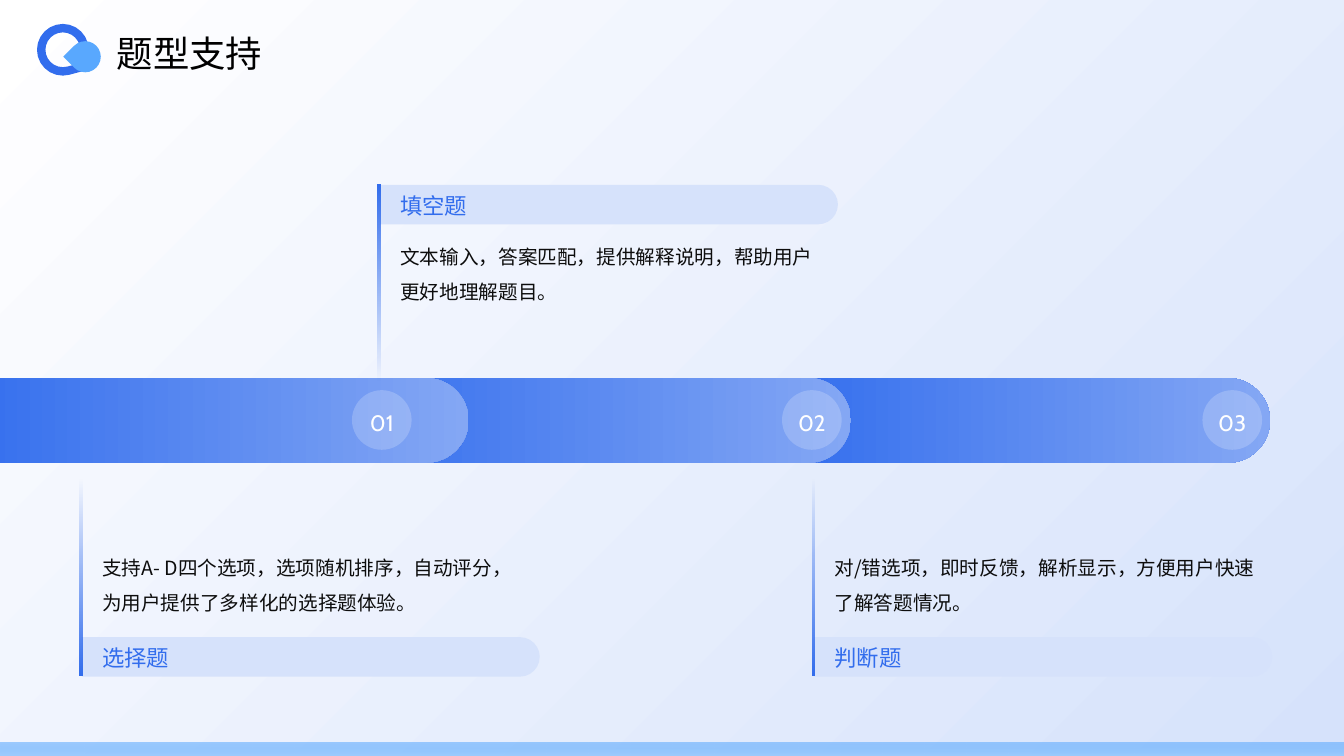
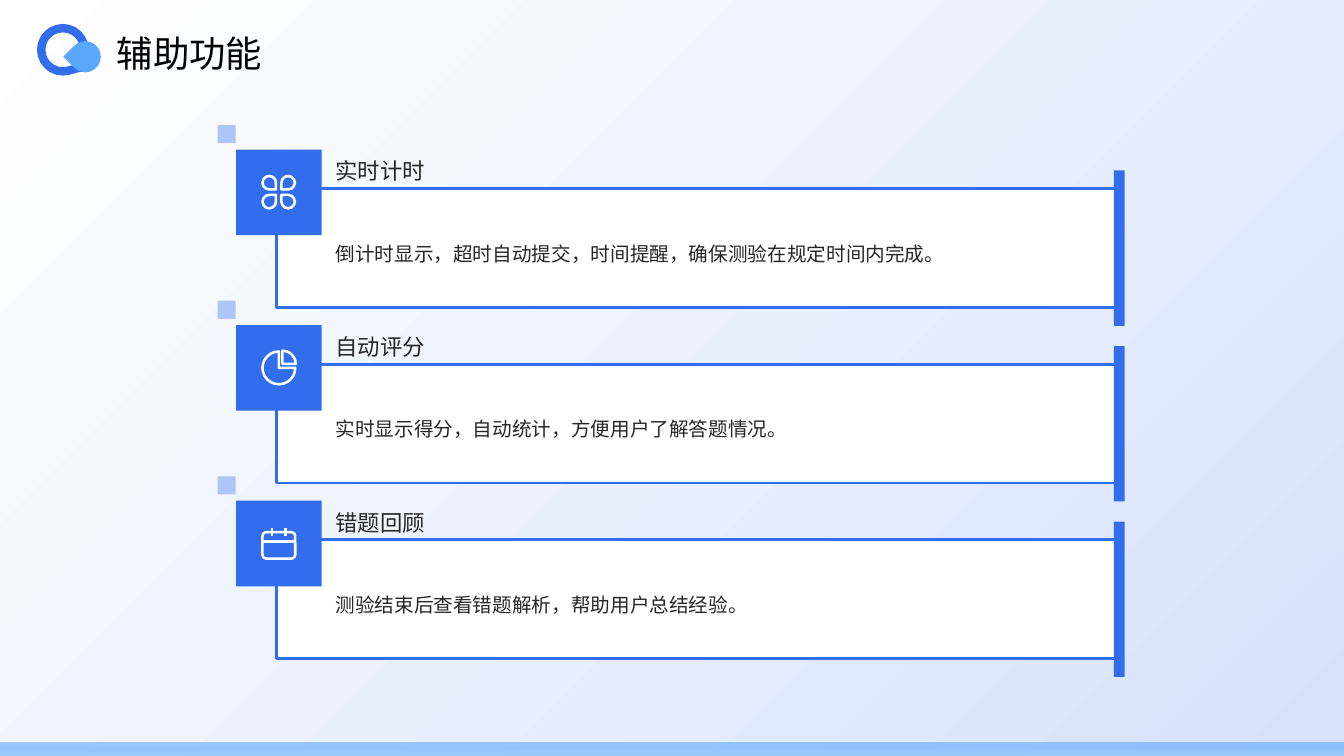
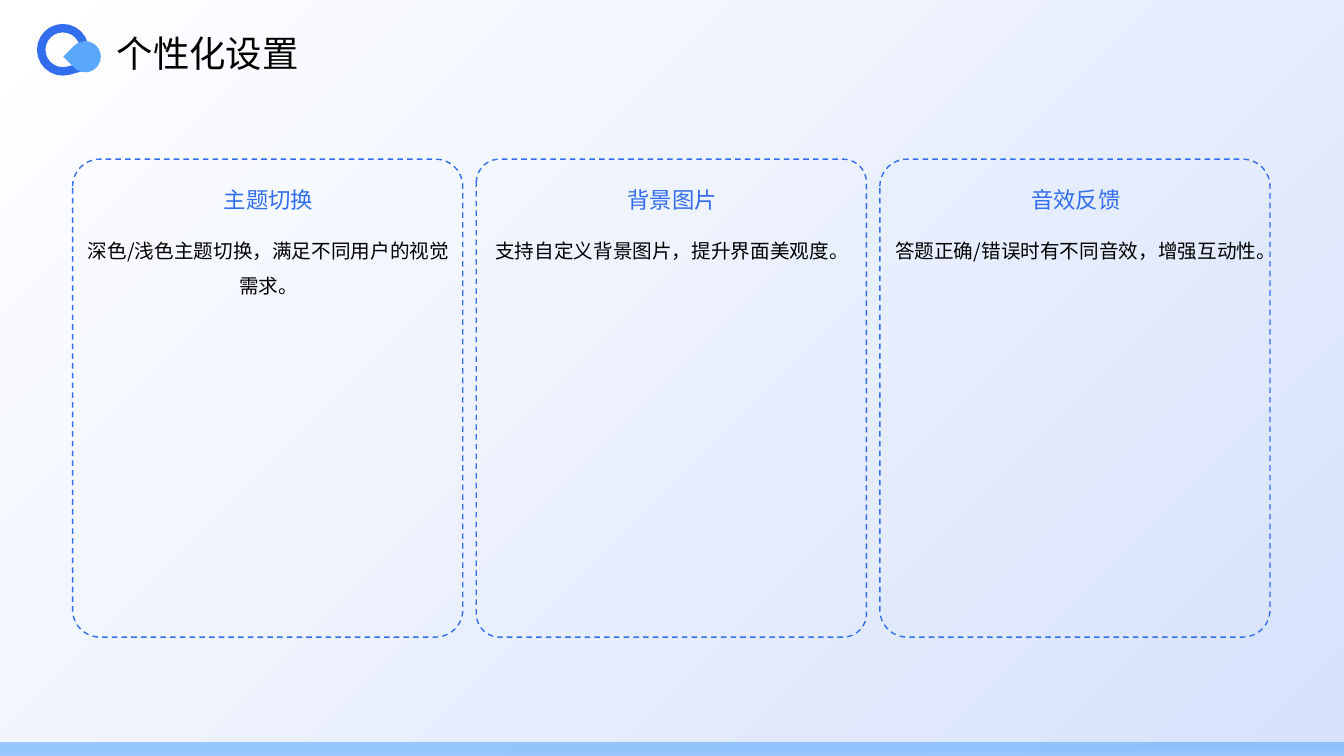
from lxml import etree
from pptx import Presentation, util as u
from pptx.dml.color import RGBColor
from pptx.enum import dml, shapes, text
from pptx.oxml.ns import qn

FORM = shapes.MSO_SHAPE
ALIGN = text.PP_ALIGN
ANCHOR = text.MSO_ANCHOR
CELL = 5 / 12  # inches; the slide is a grid of 32 columns by 18 rows
BLUE, SKY, PALE, WHITE = "326DED", "59A8FE", "D6E2FB", "FFFFFF"
BLACK, DARK, GREY = "000000", "0D0D0D", "262626"
HAN, LATIN = "Noto Sans CJK SC", "Cabin"


def grid(*cells):
    return [u.Inches(n * CELL) for n in cells]


def hue(code):
    return RGBColor.from_string(code[:6])


def paint(shape, codes, turn=0):
    """Fill with RRGGBB or RRGGBBAA codes: none, one, or two for a gradient."""
    fill = shape.fill
    if not codes:
        fill.background()
    elif len(codes) == 1:
        fill.solid()
        fill.fore_color.rgb = hue(codes[0])
    else:
        fill.gradient()
        fill.gradient_angle = (360 - turn) % 360
        for stop, code in zip(fill.gradient_stops, codes):
            stop.color.rgb = hue(code)
    marks = list(shape._element.spPr.iter(qn("a:srgbClr")))
    for mark, code in zip(marks, codes):
        if len(code) == 8:
            share = round(int(code[6:], 16) / 255 * 100)
            etree.SubElement(mark, qn("a:alpha")).set("val", str(share * 1000))


class Deck:
    def __init__(self):
        self.prs = Presentation()
        self.prs.slide_width, self.prs.slide_height = grid(32, 18)

    # Shared page: backdrop, band, title with its ornament
    def page(self, title):
        self.slide = self.prs.slides.add_slide(self.prs.slide_layouts[5])
        self.form(FORM.RECTANGLE, 0, 0, 32, 18, WHITE, PALE, turn=45)
        self.form(FORM.RECTANGLE, 0, 17.69, 32, 0.31, "9BCBFE", SKY + "87", turn=270)
        self.form(FORM.TEAR, 0.98, 0.67, 1.03, 1.03, edge=BLUE, width=6, spin=75)
        self.form(FORM.TEAR, 1.66, 0.98, 0.74, 0.74, SKY, spin=225)
        head = self.slide.shapes.title
        head.left, head.top, head.width, head.height = grid(2.54, 0.6, 27.98, 1.3)
        self.words(head.text_frame, title, 26, BLACK, anchor=ANCHOR.MIDDLE)
        self.slide.shapes._spTree.append(head._element)  # above the backdrop

    def form(self, kind, x, y, w, h, *codes, turn=0, edge=None, width=1,
             dash=None, spin=0, adj=()):
        shape = self.slide.shapes.add_shape(kind, *grid(x, y, w, h))
        shape.shadow.inherit = False
        shape.rotation = spin
        for i, value in enumerate(adj):
            shape.adjustments[i] = value
        paint(shape, codes, turn)
        if edge:
            shape.line.color.rgb = hue(edge)
            shape.line.width = u.Pt(width)
            if dash:
                shape.line.dash_style = dash
        else:
            shape.line.fill.background()

    def line(self, x, y, x2, y2, code, width):
        link = self.slide.shapes.add_connector(
            shapes.MSO_CONNECTOR.STRAIGHT, *grid(x, y, x2, y2))
        link.line.color.rgb = hue(code)
        link.line.width = u.Pt(width)
        etree.SubElement(link._element.spPr, qn("a:effectLst"))

    def words(self, frame, copy, size, code, font=HAN, align=ALIGN.LEFT,
              anchor=ANCHOR.TOP, space=1.0):
        frame.word_wrap = True
        frame.auto_size = text.MSO_AUTO_SIZE.NONE
        frame.vertical_anchor = anchor
        para = frame.paragraphs[0]
        para.text = copy
        para.alignment = align
        para.line_spacing = space
        para.font.size = u.Pt(size)
        para.font.color.rgb = hue(code)
        para.font.name = font
        base = para._p.pPr.find(qn("a:defRPr"))
        etree.SubElement(base, qn("a:ea")).set("typeface", font)

    def label(self, x, y, w, h, copy, size, code, **style):
        frame = self.slide.shapes.add_textbox(*grid(x, y, w, h)).text_frame
        frame.margin_left = frame.margin_right = 0
        frame.margin_top = frame.margin_bottom = 0
        self.words(frame, copy, size, code, **style)

    # Flag: a fading pole, a half-round tab and a note
    def flag(self, x, up, name, note):
        pole, tab, body = (4.4, 4.4, 5.54) if up else (11.42, 15.17, 11.5)
        w, h = 10.9, 0.94
        self.form(FORM.ROUND_2_SAME_RECTANGLE, x + 0.05 + (w - h) / 2,
                  tab - (w - h) / 2, h, w, PALE, spin=90, adj=(0.5, 0))
        self.form(FORM.RECTANGLE, x, pole, 0.06, 4.66, BLUE, BLUE + "00",
                  turn=90 if up else 270)
        self.label(x + 0.53, tab + 0.17, 10.18, 0.72, name, 16, BLUE)
        self.label(x + 0.53, body, 10.18, 3.14, note, 14, DARK, space=1.5,
                   anchor=ANCHOR.TOP if up else ANCHOR.BOTTOM)

    # Row: framed note with an icon tile
    def row(self, y, icon, name, note):
        self.form(FORM.RECTANGLE, 6.58, y + 1.51, 20.06, 2.83, WHITE, edge=BLUE, width=2)
        self.form(FORM.RECTANGLE, 26.52, y + 1.08, 0.26, 3.7, BLUE)
        self.label(7.99, y + 1.68, 18, 2.47, note, 14, GREY, space=1.5,
                   anchor=ANCHOR.MIDDLE)
        self.form(FORM.RECTANGLE, 5.62, y + 0.58, 2.04, 2.04, BLUE)
        icon(5.62, y + 0.58)
        self.form(FORM.RECTANGLE, 5.18, y, 0.43, 0.43, "ADC5F8")
        self.label(7.99, y + 0.43, 18, 0.98, name, 16, GREY, space=1.3,
                   anchor=ANCHOR.BOTTOM)

    # Icons, drawn in white strokes from the tile corner
    def petals(self, x, y):
        for col, line, spin in ((0, 0, 90), (1, 0, 180), (0, 1, 0), (1, 1, 270)):
            self.form(FORM.TEAR, x + 0.63 + 0.45 * col, y + 0.63 + 0.45 * line,
                      0.32, 0.32, edge=WHITE, width=1.8, spin=spin)

    def pie(self, x, y):
        self.form(FORM.PIE, x + 0.63, y + 0.63, 0.78, 0.78, edge=WHITE, width=1.8)
        self.form(FORM.PIE, x + 0.79, y + 0.61, 0.63, 0.63, edge=WHITE, width=1.8,
                  adj=(162, 0))

    def dates(self, x, y):
        self.form(FORM.ROUNDED_RECTANGLE, x + 0.63, y + 0.75, 0.78, 0.63,
                  edge=WHITE, width=1.8, adj=(0.15,))
        self.line(x + 0.63, y + 0.97, x + 1.41, y + 0.97, WHITE, 1.8)
        for tick in (0.86, 1.18):
            self.line(x + tick, y + 0.66, x + tick, y + 0.85, WHITE, 1.8)

    # Card: dashed frame with centred text
    def card(self, x, bend, name, note):
        self.form(FORM.ROUNDED_RECTANGLE, x, 3.79, 9.29, 11.38, edge=BLUE,
                  dash=dml.MSO_LINE.DASH, adj=(bend,))
        self.label(x + 0.32, 5.4, 8.69, 9.46, note, 14, BLACK, space=1.5,
                   align=ALIGN.CENTER)
        self.label(x + 0.32, 4.25, 8.69, 0.96, name, 16, BLUE, space=1.1,
                   align=ALIGN.CENTER, anchor=ANCHOR.MIDDLE)


def main():
    deck = Deck()

    # Question types
    deck.page("题型支持")
    for x, w in ((18.58, 11.66), (8.02, 12.24), (-1.08, 12.24)):
        deck.form(FORM.ROUNDED_RECTANGLE, x, 9, w, 2.02, BLUE, "84A7F4", adj=(0.5,))
    for i, x in enumerate((8.38, 18.62, 28.63), 1):
        deck.form(FORM.OVAL, x, 9.29, 1.42, 1.42, WHITE + "33")
        deck.label(x + 0.34, 9.74, 0.74, 0.53, f"{i:02}", 16, WHITE, font=LATIN,
                   align=ALIGN.CENTER)
    for flag in (
        (9, True, "填空题", "文本输入，答案匹配，提供解释说明，帮助用户更好地理解题目。"),
        (1.9, False, "选择题", "支持A- D四个选项，选项随机排序，自动评分，为用户提供了多样化的选择题体验。"),
        (19.34, False, "判断题", "对/错选项，即时反馈，解析显示，方便用户快速了解答题情况。"),
    ):
        deck.flag(*flag)

    # Helper features
    deck.page("辅助功能")
    for i, row in enumerate((
        (deck.petals, "实时计时", "倒计时显示，超时自动提交，时间提醒，确保测验在规定时间内完成。"),
        (deck.pie, "自动评分", "实时显示得分，自动统计，方便用户了解答题情况。"),
        (deck.dates, "错题回顾", "测验结束后查看错题解析，帮助用户总结经验。"),
    )):
        deck.row(2.98 + 4.18 * i, *row)

    # Personal settings
    deck.page("个性化设置")
    for i, card in enumerate((
        (0.07, "主题切换", "深色/浅色主题切换，满足不同用户的视觉需求。"),
        (0.06, "背景图片", "支持自定义背景图片，提升界面美观度。"),
        (0.07, "音效反馈", "答题正确/错误时有不同音效，增强互动性。"),
    )):
        deck.card(1.73 + 9.61 * i, *card)

    deck.prs.save("out.pptx")


if __name__ == "__main__":
    main()
